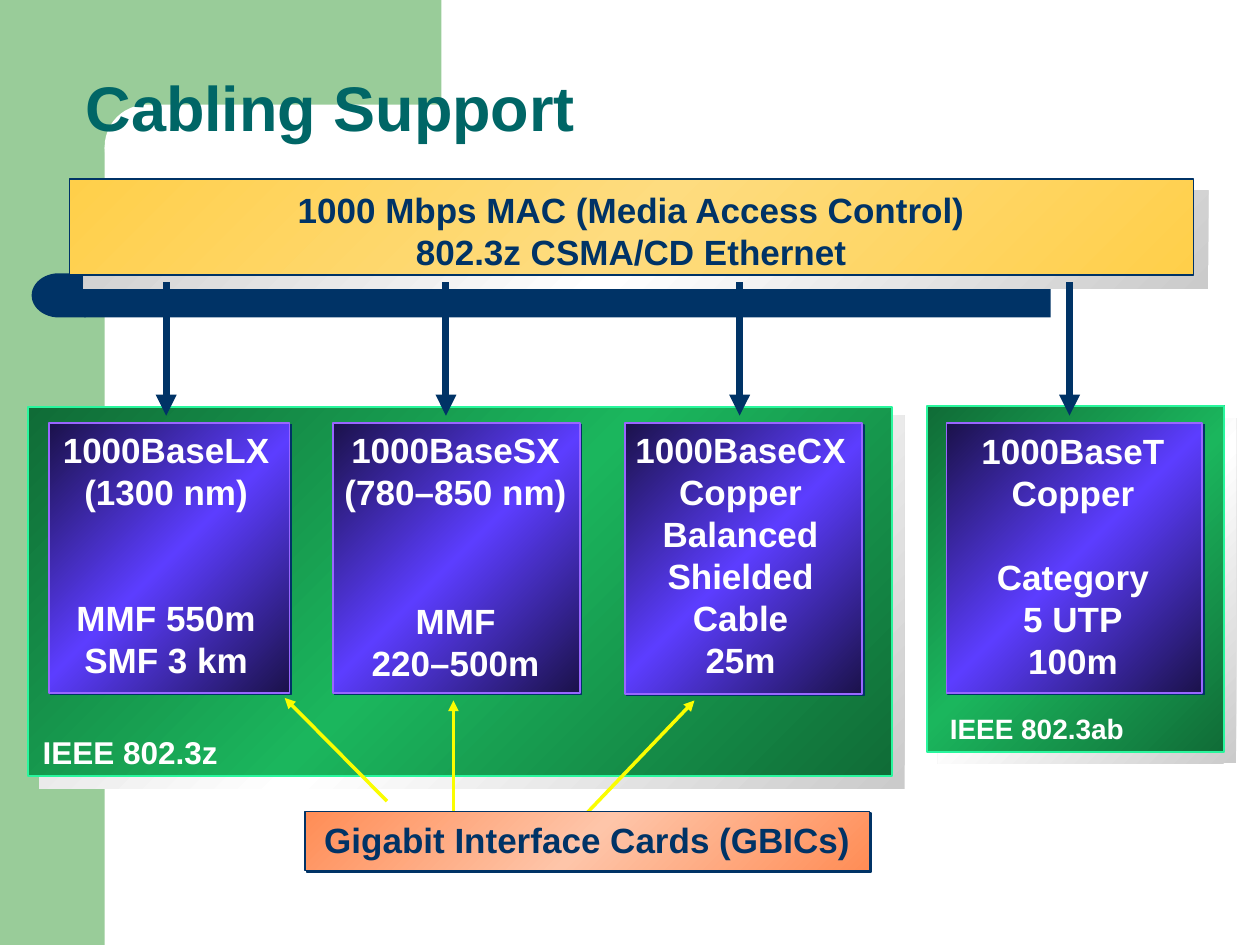
from copy import deepcopy
from dataclasses import dataclass

from pptx import Presentation
from pptx.dml.color import RGBColor
from pptx.enum.shapes import MSO_CONNECTOR, MSO_SHAPE as Shape
from pptx.enum.text import MSO_ANCHOR as Anchor, PP_ALIGN as Align
from pptx.oxml.ns import qn
from pptx.util import Cm, Pt
from lxml.etree import SubElement

FONT = "Arial"
COLORS = {
    "sage": "99CC99", "white": "FFFFFF", "navy": "003366", "teal": "006666",
    "mint": "29F69D", "violet": "9966FF", "yellow": "FAFD00",
}
# Outer and middle colour of each diagonal gradient
GRADIENTS = {
    "shade": ("CBCBCB", "FFFFFF"), "green": ("106C37", "1BB65D"),
    "blue": ("1B124B", "5C3DFF"), "gold": ("FFCF4A", "FEDC7F"),
    "orange": ("FF8D56", "FEC5A9"),
}


@dataclass
class Box:
    """Position and size in centimetres."""
    x: float
    y: float
    w: float
    h: float

    def emu(self) -> tuple:
        return Cm(self.x), Cm(self.y), Cm(self.w), Cm(self.h)


@dataclass
class Panel:
    box: Box
    gradient: str
    line: str | None = None
    shadow: bool = False


@dataclass
class Label:
    box: Box
    lines: tuple[str, ...]
    size: int = 20
    color: str = "white"
    align: Align = Align.CENTER
    wrap: bool = True
    gap_before: int = 0  # index of the line that follows the gap
    gap: int = 0         # height of the gap in points


@dataclass
class Cable:
    """A cable type: its tile, its text and the arrow leading to it."""
    tile: Box
    label: Label
    arrow_x: float


def rgb(name: str) -> RGBColor:
    return RGBColor.from_string(COLORS[name])


def add_plain(shapes, kind: Shape, box: Box, color: str):
    s = shapes.add_shape(kind, *box.emu())
    s.shadow.inherit = False
    s.fill.solid()
    s.fill.fore_color.rgb = rgb(color)
    s.line.fill.background()
    return s


def add_panel(shapes, panel: Panel) -> None:
    s = shapes.add_shape(Shape.RECTANGLE, *panel.box.emu())
    s.shadow.inherit = False
    sp_pr = s._element.spPr
    s.fill.gradient()
    s.fill.gradient_angle = 315
    stops = sp_pr.find(".//" + qn("a:gsLst"))
    stops.append(deepcopy(stops[0]))
    outer, middle = GRADIENTS[panel.gradient]
    for i, (stop, color) in enumerate(zip(s.fill.gradient_stops, (outer, middle, outer))):
        stop.color.rgb = RGBColor.from_string(color)
        stop.position = i / 2
    if panel.line:
        s.line.color.rgb = rgb(panel.line)
        s.line.width = Pt(1)
    else:
        s.line.fill.background()
    if panel.shadow:
        shadow = SubElement(sp_pr.find(qn("a:effectLst")), qn("a:outerShdw"),
                            dist=str(Pt(1.4)), dir="2700000", algn="ctr", rotWithShape="0")
        SubElement(shadow, qn("a:srgbClr"), val=COLORS["navy"])


def add_label(shapes, label: Label) -> None:
    tf = shapes.add_textbox(*label.box.emu()).text_frame
    tf.word_wrap = label.wrap
    for i, line in enumerate(label.lines):
        p = tf.paragraphs[0] if i == 0 else tf.add_paragraph()
        p.text = line
        p.alignment = label.align
        if i and i == label.gap_before:
            p.space_before = Pt(label.gap)
        set_font(p, label.size, label.color)


def set_font(p, size: int, color: str) -> None:
    p.font.name = FONT
    p.font.size = Pt(size)
    p.font.bold = True
    p.font.color.rgb = rgb(color)


def add_arrow(shapes, start: tuple, end: tuple, color: str, width: int) -> None:
    s = shapes.add_connector(MSO_CONNECTOR.STRAIGHT, *map(Cm, start + end))
    s.line.color.rgb = rgb(color)
    s.line.width = Pt(width)
    SubElement(s.line._get_or_add_ln(), qn("a:tailEnd"), type="triangle")
    SubElement(s._element.spPr, qn("a:effectLst"))


CABLES = [
    Cable(Box(0.99, 8.53, 4.85, 5.44),
          Label(Box(0.81, 8.51, 5.08, 5.33),
                ("1000BaseLX", "(1300 nm)", "MMF 550m", "SMF 3 km"),
                gap_before=2, gap=48), 3.35),
    Cable(Box(6.71, 8.53, 4.98, 5.44),
          Label(Box(6.63, 8.51, 5.11, 5.44),
                ("1000BaseSX", "(780–850 nm)", "MMF", "220–500m"),
                gap_before=2, gap=50), 8.99),
    Cable(Box(12.6, 8.53, 4.78, 5.46),
          Label(Box(12.29, 8.51, 5.28, 5.33),
                ("1000BaseCX", "Copper", "Balanced Shielded Cable", "25m")), 14.91),
    Cable(Box(19.08, 8.53, 5.16, 5.44),
          Label(Box(19.08, 8.53, 5.1, 5.33),
                ("1000BaseT", "Copper", "Category", "5 UTP", "100m"),
                gap_before=2, gap=24), 21.56),
]
PANELS = [
    # Soft shades behind the panels
    Panel(Box(18.9, 8.43, 6.02, 6.96), "shade"),
    Panel(Box(0.79, 8.38, 17.45, 7.52), "shade"),
    Panel(Box(1.68, 3.84, 22.68, 1.98), "shade"),
    # The two standards
    Panel(Box(18.69, 8.18, 5.99, 6.98), "green", "mint"),
    Panel(Box(0.56, 8.2, 17.42, 7.44), "green", "mint"),
]
STANDARDS = [
    Label(Box(0.61, 14.66, 6.07, 1.02), ("IEEE 802.3z",), 18, align=Align.LEFT),
    Label(Box(18.9, 14.22, 5.46, 0.94), ("IEEE 802.3ab",), 16, align=Align.LEFT),
]
CARD_ARROWS = [
    ((7.8, 16.15), (5.74, 14.07)),
    ((9.14, 16.46), (9.14, 14.12)),
    ((11.84, 16.38), (14, 14.12)),
]


def main() -> None:
    prs = Presentation()
    prs.slide_width, prs.slide_height = Cm(25.4), Cm(19.05)
    slide = prs.slides.add_slide(prs.slide_layouts[5])
    shapes = slide.shapes

    # Background decoration
    add_plain(shapes, Shape.RECTANGLE, Box(0, 0, 2.11, 19.05), "sage")
    add_plain(shapes, Shape.RECTANGLE, Box(1.91, 0, 6.99, 2.97), "sage")
    corner = add_plain(shapes, Shape.ROUNDED_RECTANGLE, Box(2.11, 2.11, 14.17, 1.7), "white")
    corner.adjustments[0] = 0.5
    add_plain(shapes, Shape.RECTANGLE, Box(1.7, 5.51, 19.48, 0.89), "navy")
    cap = add_plain(shapes, Shape.FLOWCHART_DELAY, Box(0.64, 5.51, 1.09, 0.89), "navy")
    cap._element.spPr.find(qn("a:xfrm")).set("flipH", "1")

    # Standards and the cable types within them
    for panel in PANELS:
        add_panel(shapes, panel)
    for cable in CABLES:
        add_panel(shapes, Panel(cable.tile, "blue", "violet", shadow=True))
        add_label(shapes, cable.label)
        add_arrow(shapes, (cable.arrow_x, 5.69), (cable.arrow_x, 8.38), "navy", 4)
    for label in STANDARDS:
        add_label(shapes, label)

    # Media access control
    add_panel(shapes, Panel(Box(1.4, 3.61, 22.66, 1.93), "gold", "navy"))
    add_label(shapes, Label(Box(5.74, 3.68, 13.97, 1.96),
                            ("1000 Mbps MAC (Media Access Control)",
                             "802.3z CSMA/CD Ethernet"), color="navy", wrap=False))

    # Interface cards
    for start, end in CARD_ARROWS:
        add_arrow(shapes, start, end, "yellow", 2)
    add_panel(shapes, Panel(Box(6.15, 16.36, 11.38, 1.19), "orange", "navy", shadow=True))
    add_label(shapes, Label(Box(6.25, 16.38, 11.18, 1.12),
                            ("Gigabit Interface Cards (GBICs)",), color="navy", wrap=False))

    # Title, brought in front of the decoration
    title = shapes.title
    title.left, title.top, title.width, title.height = Box(1.47, 0.64, 22.23, 3.18).emu()
    tf = title.text_frame
    tf.text = "Cabling Support"
    tf.vertical_anchor = Anchor.MIDDLE
    p = tf.paragraphs[0]
    p.alignment = Align.LEFT
    p.line_spacing = 0.9
    set_font(p, 36, "teal")
    shapes._spTree.append(title._element)

    prs.save("out.pptx")


if __name__ == "__main__":
    main()
